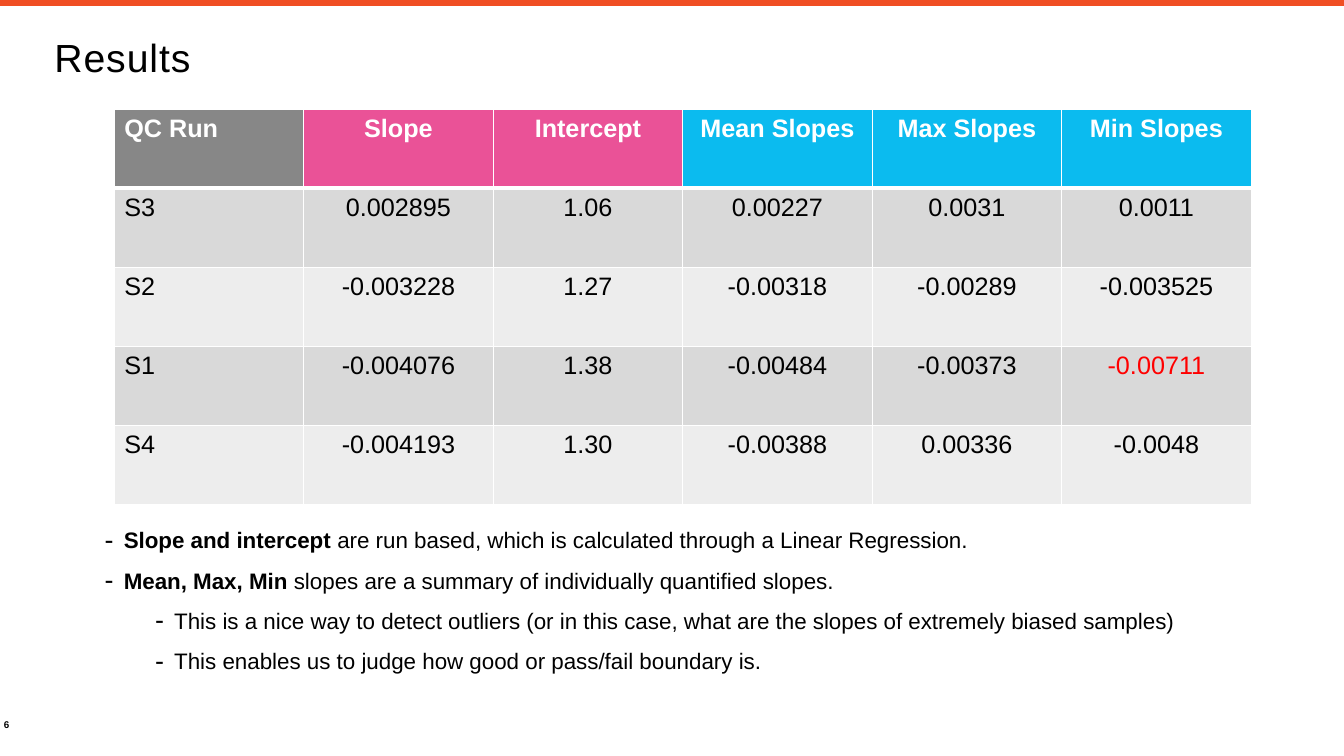
from lxml import etree
from pptx import Presentation
from pptx import util as u
from pptx.dml.color import RGBColor
from pptx.enum import shapes, text
from pptx.oxml import ns

FONT = "Arial"
ORANGE = RGBColor(0xF0, 0x4E, 0x23)
BLACK = RGBColor(0, 0, 0)
WHITE = RGBColor(0xFF, 0xFF, 0xFF)
RED = RGBColor(0xFF, 0, 0)
GREY = RGBColor(0x87, 0x87, 0x87)
PINK = RGBColor(0xEA, 0x52, 0x97)
BLUE = RGBColor(0x0B, 0xBB, 0xEF)
BANDS = (RGBColor(0xD9, 0xD9, 0xD9), RGBColor(0xED, 0xED, 0xED))

HEADERS = [("QC Run", GREY), ("Slope", PINK), ("Intercept", PINK),
           ("Mean Slopes", BLUE), ("Max Slopes", BLUE), ("Min Slopes", BLUE)]
RUNS = [
    ("S3", "0.002895", "1.06", "0.00227", "0.0031", "0.0011"),
    ("S2", "-0.003228", "1.27", "-0.00318", "-0.00289", "-0.003525"),
    ("S1", "-0.004076", "1.38", "-0.00484", "-0.00373", "-0.00711"),
    ("S4", "-0.004193", "1.30", "-0.00388", "0.00336", "-0.0048"),
]
OUTLIER = "-0.00711"
# Each note: level, bold lead, remaining text
NOTES = [
    (0, "Slope and intercept ",
     "are run based, which is calculated through a Linear Regression."),
    (0, "Mean, Max, Min ",
     "slopes are a summary of individually quantified slopes."),
    (1, "", "This is a nice way to detect outliers (or in this case, "
            "what are the slopes of extremely biased samples)"),
    (1, "", "This enables us to judge how good or pass/fail boundary is."),
]


def add_child(parent, tag, **attributes):
    child = etree.SubElement(parent, ns.qn(tag))
    for name, value in attributes.items():
        child.set(name, str(value))
    return child


def add_run(paragraph, words, size, color=BLACK, bold=False):
    run = paragraph.add_run()
    run.text = words
    run.font.name = FONT
    run.font.size = u.Pt(size)
    run.font.bold = bold
    run.font.color.rgb = color
    return run


def add_text_box(slide, left, top, width, height, inset_x, inset_y,
                 anchor=text.MSO_ANCHOR.MIDDLE):
    shape = slide.shapes.add_textbox(u.Cm(left), u.Cm(top), u.Cm(width), u.Cm(height))
    frame = shape.text_frame
    frame.word_wrap = True
    frame.vertical_anchor = anchor
    frame.margin_left = frame.margin_right = u.Cm(inset_x)
    frame.margin_top = frame.margin_bottom = u.Cm(inset_y)
    return frame


def add_top_rule(slide, width):
    rule = slide.shapes.add_connector(
        shapes.MSO_CONNECTOR.STRAIGHT, 0, u.Cm(0.08), width, u.Cm(0.08))
    rule.line.color.rgb = ORANGE
    rule.line.width = u.Pt(4.5)
    add_child(rule.element.spPr, "a:effectLst")


def set_borders(cell, top, bottom):
    properties = cell._tc.get_or_add_tcPr()
    for tag, points in (("a:lnL", 1), ("a:lnR", 1), ("a:lnT", top), ("a:lnB", bottom)):
        border = add_child(properties, tag, w=u.Pt(points))
        fill = add_child(border, "a:solidFill")
        add_child(fill, "a:srgbClr", val=WHITE)


def fill_cell(cell, words, fill, color, header, centred, top, bottom):
    set_borders(cell, top, bottom)
    cell.fill.solid()
    cell.fill.fore_color.rgb = fill
    paragraph = cell.text_frame.paragraphs[0]
    paragraph.alignment = text.PP_ALIGN.CENTER if centred else text.PP_ALIGN.LEFT
    add_run(paragraph, words, 18, color, header)


def add_results_table(slide):
    rows, columns = len(RUNS) + 1, len(HEADERS)
    table = slide.shapes.add_table(
        rows, columns, u.Cm(2.88), u.Cm(2.75), u.Cm(28.65), u.Cm(9.97)).table
    for column, (words, fill) in enumerate(HEADERS):
        fill_cell(table.cell(0, column), words, fill, WHITE, True, column > 0, 1, 3)
    for row, values in enumerate(RUNS, start=1):
        for column, value in enumerate(values):
            color = RED if value == OUTLIER else BLACK
            fill_cell(table.cell(row, column), value, BANDS[(row - 1) % 2], color,
                      False, column > 0, 3 if row == 1 else 1, 1)


def set_dash_bullet(paragraph, level):
    properties = paragraph._p.get_or_add_pPr()
    properties.set("marL", str(u.Cm(0.48 + 1.27 * level)))
    properties.set("indent", str(u.Cm(-0.48)))
    color = add_child(properties, "a:buClr")
    add_child(color, "a:srgbClr", val=BLACK)
    add_child(properties, "a:buSzPct", val=120000)
    add_child(properties, "a:buFont", typeface=FONT)
    add_child(properties, "a:buChar", char="-")


def add_notes_list(slide):
    frame = add_text_box(slide, 2.44, 12.73, 29.06, 5.54, 0.2, 0.2,
                         text.MSO_ANCHOR.TOP)
    for index, (level, lead, rest) in enumerate(NOTES):
        paragraph = frame.add_paragraph() if index else frame.paragraphs[0]
        paragraph.level = level
        paragraph.line_spacing = 1.5
        set_dash_bullet(paragraph, level)
        if lead:
            add_run(paragraph, lead, 16, bold=True)
        add_run(paragraph, rest, 16)


def main():
    presentation = Presentation()
    presentation.slide_width = u.Cm(33.87)
    presentation.slide_height = u.Cm(19.05)
    slide = presentation.slides.add_slide(presentation.slide_layouts[6])

    # Rule along the top edge
    add_top_rule(slide, presentation.slide_width)

    # Page number
    number = add_text_box(slide, 0, 18.08, 1, 0.38, 0.1, 0.13)
    add_run(number.paragraphs[0], "6", 7, bold=True)

    # Title with slightly spaced letters
    title = add_text_box(slide, 1.37, 0.71, 31.22, 1.47, 0, 0)
    run = add_run(title.paragraphs[0], "Results", 28)
    run.font._element.set("spc", "70")

    # Table and the notes below it
    add_results_table(slide)
    add_notes_list(slide)

    presentation.save("out.pptx")


if __name__ == "__main__":
    main()
